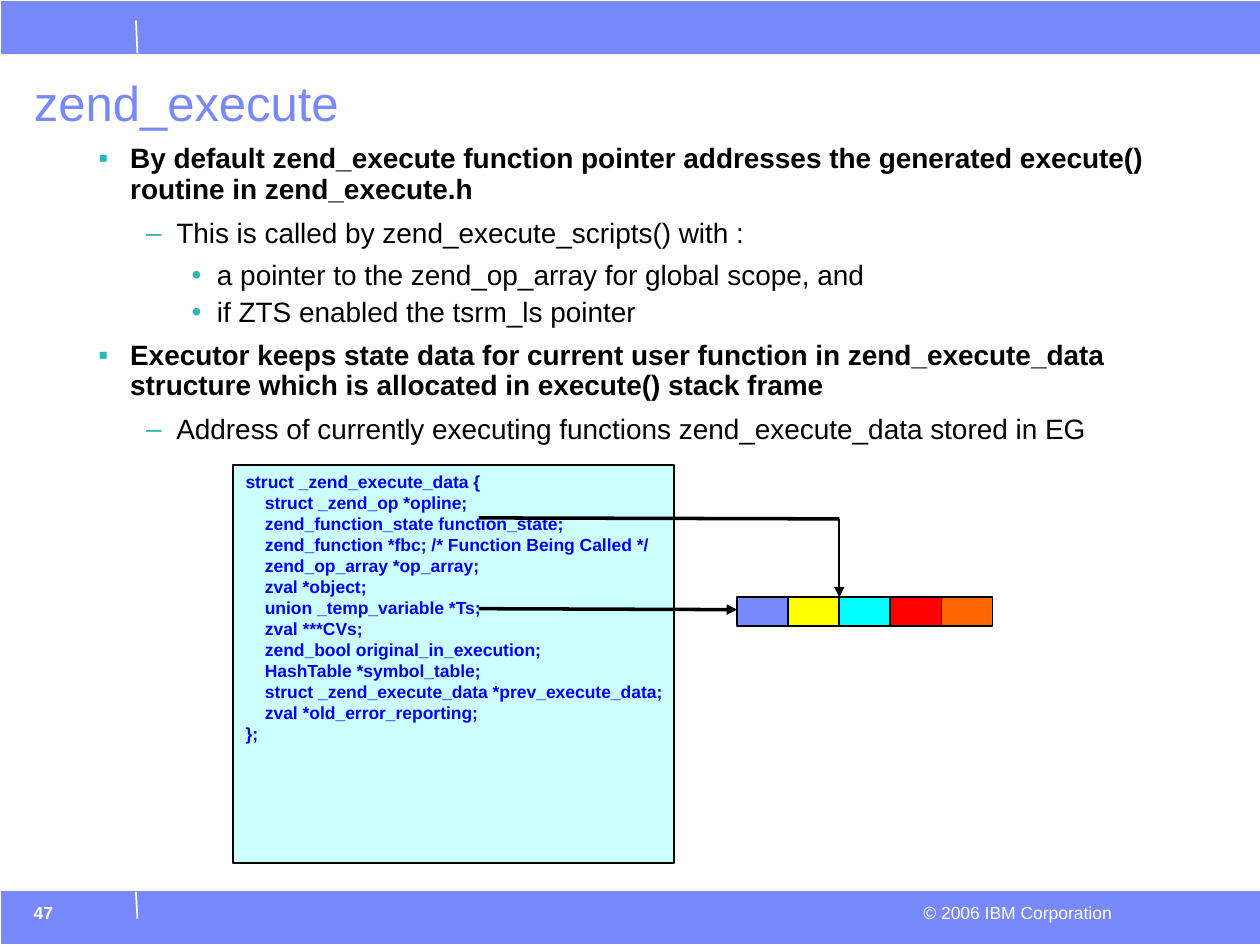
from lxml import etree
from pptx import Presentation
from pptx import util as u
from pptx.dml.color import RGBColor
from pptx.enum import shapes, text
from pptx.oxml import ns

BLUE, WHITE, BLACK, TEAL = "7889FB", "FFFFFF", "000000", "2DB6B3"

# Per level: bullet, left indent, hang (cm), space before, space after (pt), bold
LEVELS = [
    ("▪", 0.64, 0.64, 7, 3, True),
    ("–", 1.57, 0.61, 5, 3, False),
    ("•", 2.39, 0.51, 4, 0, False),
]
POINTS = [
    (0, "By default zend_execute function pointer addresses the generated execute() routine in zend_execute.h"),
    (1, "This is called by zend_execute_scripts() with :"),
    (2, "a pointer to the zend_op_array for global scope, and"),
    (2, "if ZTS enabled the tsrm_ls pointer"),
    (0, "Executor keeps state data for current user function in zend_execute_data "
        "structure which is allocated in execute() stack frame"),
    (1, "Address of currently executing functions zend_execute_data stored in EG"),
]
CODE = """struct _zend_execute_data {
    struct _zend_op *opline;
    zend_function_state function_state;
    zend_function *fbc; /* Function Being Called */
    zend_op_array *op_array;
    zval *object;
    union _temp_variable *Ts;
    zval ***CVs;
    zend_bool original_in_execution;
    HashTable *symbol_table;
    struct _zend_execute_data *prev_execute_data;
    zval *old_error_reporting;
};"""
CELLS = [BLUE, "FFFF00", "00FFFF", "FF0000", "FF6600"]


def paint(color, tone):
    color.rgb = RGBColor.from_string(tone)


def write(para, words, size=10, tone=BLACK, bold=False, align="LEFT"):
    para.alignment = getattr(text.PP_ALIGN, align)
    run = para.add_run()
    run.text = words
    font = run.font
    font.name, font.size, font.bold = "Arial", u.Pt(size), bold
    paint(font.color, tone)


def add_rect(slide, x, y, w, h, fill, line=BLACK):
    rect = slide.shapes.add_shape(
        shapes.MSO_SHAPE.RECTANGLE, u.Cm(x), u.Cm(y), u.Cm(w), u.Cm(h))
    rect.shadow.inherit = False
    rect.fill.solid()
    paint(rect.fill.fore_color, fill)
    paint(rect.line.color, line)
    rect.line.width = u.Pt(1)
    return rect


def add_label(slide, x, y, w, h, words, wrap=True, **form):
    box = slide.shapes.add_textbox(u.Cm(x), u.Cm(y), u.Cm(w), u.Cm(h))
    box.text_frame.word_wrap = wrap
    write(box.text_frame.paragraphs[0], words, **form)


def add_line(slide, start, end, tone=BLACK, width=1, arrow=False):
    line = slide.shapes.add_connector(
        shapes.MSO_CONNECTOR.STRAIGHT, *[u.Cm(v) for v in start + end])
    paint(line.line.color, tone)
    line.line.width = u.Pt(width)
    if arrow:
        etree.SubElement(line.line._get_or_add_ln(), ns.qn("a:tailEnd"), type="triangle")
    etree.SubElement(line._element.spPr, ns.qn("a:effectLst"))


def place(holder, x, y, w, h, anchor):
    holder.left, holder.top, holder.width, holder.height = map(u.Cm, (x, y, w, h))
    frame = holder.text_frame
    frame.auto_size = text.MSO_AUTO_SIZE.NONE
    frame.vertical_anchor = anchor
    frame.word_wrap = True
    return frame


def add_bullet(para, mark, left, hang):
    props = para._p.get_or_add_pPr()
    props.set("marL", str(u.Cm(left)))
    props.set("indent", str(-u.Cm(hang)))
    color = etree.SubElement(props, ns.qn("a:buClr"))
    etree.SubElement(color, ns.qn("a:srgbClr"), val=TEAL)
    etree.SubElement(props, ns.qn("a:buFont"), typeface="Arial")
    etree.SubElement(props, ns.qn("a:buChar"), char=mark)


def fill_body(frame):
    for i, (level, words) in enumerate(POINTS):
        mark, left, hang, before, after, bold = LEVELS[level]
        para = frame.add_paragraph() if i else frame.paragraphs[0]
        para.level = level
        para.line_spacing = 0.9
        para.space_before = u.Pt(before if i else 0)
        para.space_after = u.Pt(after)
        add_bullet(para, mark, left, hang)
        write(para, words, size=16, bold=bold)


def add_code(slide):
    frame = add_rect(slide, 4.7, 9.37, 8.89, 8.03, "CCFFFF").text_frame
    frame.word_wrap = False
    frame.vertical_anchor = text.MSO_ANCHOR.TOP
    for i, words in enumerate(CODE.splitlines()):
        para = frame.add_paragraph() if i else frame.paragraphs[0]
        write(para, words, tone="0000FF", bold=True)


def main():
    deck = Presentation()
    deck.slide_width, deck.slide_height = u.Cm(25.4), u.Cm(19.05)
    slide = deck.slides.add_slide(deck.slide_layouts[1])

    # Top and bottom bands with their ticks
    for top, start, end in ((0.03, 0.41, 1.07), (17.98, 17.98, 18.52)):
        add_rect(slide, 0.03, top, 25.37, 1.04, BLUE, BLUE)
        add_line(slide, (2.74, start), (2.77, end), WHITE)
    add_label(slide, 18.34, 18.06, 4.32, 0.66, "© 2006 IBM Corporation",
              wrap=False, tone=WHITE, align="RIGHT")
    add_label(slide, 0.43, 18.06, 2.79, 0.89, "47", tone=WHITE, bold=True)

    # Title and bullet list
    title = place(slide.shapes.title, 0.43, 1.07, 22.91, 1.73, text.MSO_ANCHOR.BOTTOM)
    title.paragraphs[0].line_spacing = 0.9
    write(title.paragraphs[0], "zend_execute", size=28, tone=BLUE)
    fill_body(place(slide.placeholders[1], 1.73, 2.79, 21.59, 7.62, text.MSO_ANCHOR.TOP))

    # Struct listing and the row of temporary variables
    add_code(slide)
    for i, tone in enumerate(CELLS):
        add_rect(slide, 14.86 + 1.03 * i, 12.04, 1.03, 0.58, tone)

    # Pointers from struct fields to the row
    add_line(slide, (9.65, 12.27), (14.86, 12.29), width=2, arrow=True)
    add_line(slide, (9.65, 10.44), (16.92, 10.46), width=2)
    add_line(slide, (16.92, 10.46), (16.92, 12.04), arrow=True)

    deck.save("out.pptx")


if __name__ == "__main__":
    main()
